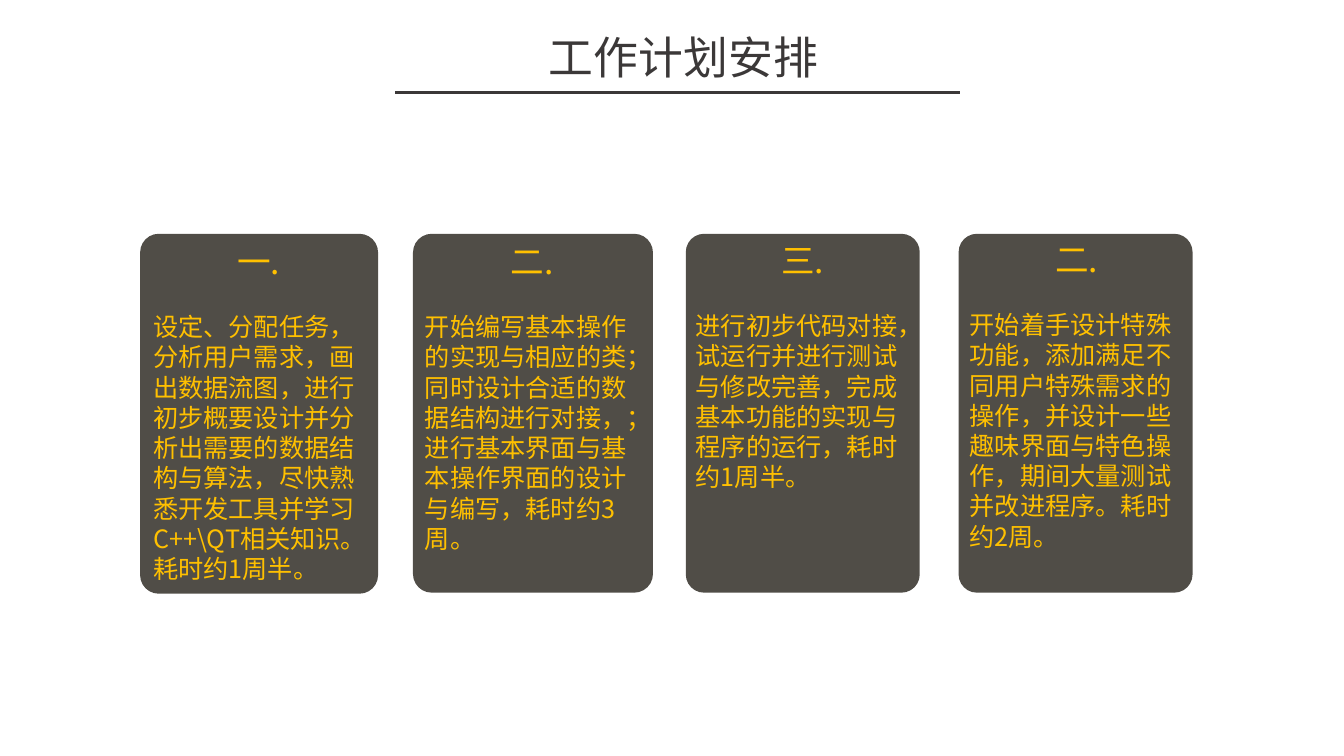
from lxml import etree
from pptx import Presentation
from pptx.dml.color import RGBColor
from pptx.enum.shapes import MSO_CONNECTOR, MSO_SHAPE
from pptx.enum.text import MSO_ANCHOR, MSO_AUTO_SIZE, PP_ALIGN
from pptx.oxml.ns import qn
from pptx.util import Inches, Pt

ROUNDED = MSO_SHAPE.ROUNDED_RECTANGLE
STRAIGHT = MSO_CONNECTOR.STRAIGHT
TOP, MIDDLE = MSO_ANCHOR.TOP, MSO_ANCHOR.MIDDLE
LEFT, CENTER = PP_ALIGN.LEFT, PP_ALIGN.CENTER
FIXED = MSO_AUTO_SIZE.NONE

COLORS = {"title": "3B3838", "card": "504D47", "text": "FFC000"}
FONT = "Noto Sans CJK SC"
TITLE_SIZE, HEADING_SIZE, BODY_SIZE = 32, 24, 18
LINE_FACTOR = 1.2
WIDTH, HEIGHT = Inches(13.33), Inches(7.5)

# Four card columns on one row
GRID_LEFT, GRID_TOP, COLUMN_PITCH = Inches(1.39), Inches(2.32), Inches(2.706)

# Card width and height, text inset from the card's corner, text width; in inches
PLAN_STEPS = [
    ((2.36, 3.57), (0.03, 0.02), 2.29, "一.",
     "设定、分配任务，分析用户需求，画出数据流图，进行初步概要设计并分析出需要的"
     "数据结构与算法，尽快熟悉开发工具并学习C++\\QT相关知识。耗时约1周半。"),
    ((2.38, 3.56), (0.02, 0.02), 2.32, "二.",
     "开始编写基本操作的实现与相应的类；同时设计合适的数据结构进行对接，；"
     "进行基本界面与基本操作界面的设计与编写，耗时约3周。"),
    ((2.32, 3.56), (0, 0.01), 2.32, "三.",
     "进行初步代码对接，试运行并进行测试与修改完善，完成基本功能的实现与"
     "程序的运行，耗时约1周半。"),
    ((2.32, 3.56), (0.01, 0), 2.32, "二.",
     "开始着手设计特殊功能，添加满足不同用户特殊需求的操作，并设计一些趣味界面"
     "与特色操作，期间大量测试并改进程序。耗时约2周。"),
]


class PlanSlide:
    """Holds the style and the slide being filled."""

    def __init__(self, presentation):
        self.slide = presentation.slides.add_slide(presentation.slide_layouts[5])
        self.shapes = self.slide.shapes

    def style(self, paragraph, size, color, align):
        paragraph.alignment = align
        paragraph.line_spacing = Pt(size * LINE_FACTOR)
        for run in paragraph.runs:
            run.font.size = Pt(size)
            run.font.name = FONT
            run.font.color.rgb = RGBColor.from_string(COLORS[color])
            east_asian = etree.SubElement(run.font._element, qn("a:ea"))
            east_asian.set("typeface", FONT)

    def title(self, text, left, top, width, height):
        heading = self.shapes.title
        heading.left, heading.top = Inches(left), Inches(top)
        heading.width, heading.height = Inches(width), Inches(height)
        frame = heading.text_frame
        frame.text = text
        frame.auto_size, frame.vertical_anchor = FIXED, MIDDLE
        self.style(frame.paragraphs[0], TITLE_SIZE, "title", CENTER)

    def rule(self, left, right, y):
        underline = self.shapes.add_connector(
            STRAIGHT, Inches(left), Inches(y), Inches(right), Inches(y))
        underline.line.color.rgb = RGBColor.from_string(COLORS["title"])
        underline.line.width = Pt(2)
        etree.SubElement(underline._element.spPr, qn("a:effectLst"))

    def card(self, column, width, height):
        card = self.shapes.add_shape(
            ROUNDED, GRID_LEFT + int(column * COLUMN_PITCH), GRID_TOP,
            Inches(width), Inches(height))
        card.adjustments[0] = 0.078
        card.shadow.inherit = False
        card.fill.solid()
        card.fill.fore_color.rgb = RGBColor.from_string(COLORS["card"])
        card.line.fill.background()

    def step(self, column, inset, width, height, number, details):
        """Write the step number and its details over a card."""
        box = self.shapes.add_textbox(
            GRID_LEFT + int(column * COLUMN_PITCH) + Inches(inset[0]),
            GRID_TOP + Inches(inset[1]), Inches(width), Inches(height))
        frame = box.text_frame
        frame.word_wrap = True
        frame.auto_size, frame.vertical_anchor = FIXED, TOP
        heading, body = frame.paragraphs[0], frame.add_paragraph()
        heading.text, body.text = number, details
        self.style(heading, HEADING_SIZE, "text", CENTER)
        self.style(body, BODY_SIZE, "text", LEFT)
        body.space_before = Pt(BODY_SIZE * LINE_FACTOR)


def main():
    presentation = Presentation()
    presentation.slide_width, presentation.slide_height = WIDTH, HEIGHT
    plan = PlanSlide(presentation)
    plan.title("工作计划安排", 3.75, 0.24, 6.06, 0.64)
    plan.rule(3.92, 9.52, 0.92)
    for column, (card_size, inset, text_width, number, details) in enumerate(PLAN_STEPS):
        plan.card(column, *card_size)
        plan.step(column, inset, text_width, card_size[1], number, details)
    presentation.save("out.pptx")


if __name__ == "__main__":
    main()
